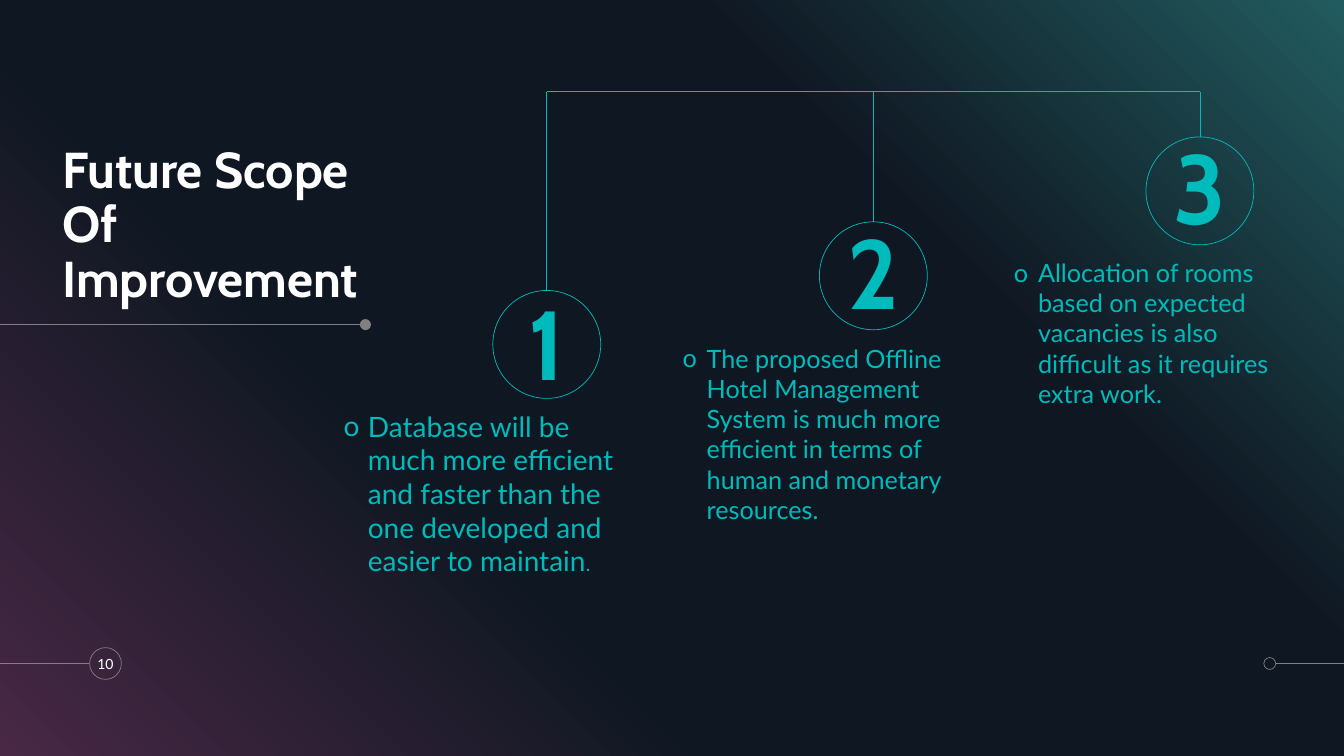
from copy import deepcopy

from lxml.etree import SubElement
from pptx import Presentation
from pptx.dml.color import RGBColor
from pptx.enum.shapes import MSO_CONNECTOR, MSO_SHAPE
from pptx.enum.text import MSO_ANCHOR, MSO_AUTO_SIZE, PP_ALIGN
from pptx.oxml.ns import qn
from pptx.util import Cm, Pt

HEX = {"teal": "00BBBB", "gray": "808080", "white": "FFFFFF",
       "plum": "482845", "navy": "0F1722", "pine": "225B5F"}
WIDE, HIGH = 33.87, 19.05
RAIL = 2.31
DISC = 2.72

# Each step: circle (left, top), list box (left, top, width, height), size, text runs
STEPS = [
    ((12.42, 7.32), (8.66, 10.31, 7.19, 5.33), 20,
     [("Database will be much more efficient and faster than the one "
       "developed and easier to maintain", 20), (".", 14)]),
    ((20.65, 5.59), (17.2, 8.64, 7.19, 4.95), 18,
     [("The proposed Offline Hotel Management System is much more efficient "
       "in terms of human and monetary resources.", 18)]),
    ((28.88, 3.45), (25.55, 6.48, 7.19, 6.43), 18,
     [("Allocation of rooms based on expected vacancies is also difficult "
       "as it requires extra work.", 18)]),
]


def color(name):
    """Return the named colour."""
    return RGBColor.from_string(HEX[name])


def style(item, values):
    """Set each attribute in the dict on the item."""
    for name, value in values.items():
        setattr(item, name, value)


def place(shape, box):
    """Move a shape to a box given in centimetres."""
    style(shape, dict(zip(("left", "top", "width", "height"), map(Cm, box))))


def write(par, text, face, size, tone, bold=False):
    """Add one formatted run to a paragraph."""
    run = par.add_run()
    run.text = text
    style(run.font, {"name": face, "size": Pt(size), "bold": bold})
    run.font.color.rgb = color(tone)


def setup(frame, anchor, wrap=True, top=0):
    """Clear the insets of a text frame and return its first paragraph."""
    style(frame, {"margin_left": 0, "margin_right": 0, "margin_top": Cm(top),
                  "margin_bottom": 0, "word_wrap": wrap,
                  "auto_size": MSO_AUTO_SIZE.NONE, "vertical_anchor": anchor})
    return frame.paragraphs[0]


def line(slide, start, end, tone):
    """Draw a thin straight line between two points."""
    link = slide.shapes.add_connector(
        MSO_CONNECTOR.STRAIGHT, *map(Cm, start + end))
    link.line.color.rgb = color(tone)
    link.line.width = Pt(0.5)
    SubElement(link._element.spPr, qn("a:effectLst"))


def ring(slide, box, tone, solid=False):
    """Draw a circle, either outlined or solid."""
    disc = slide.shapes.add_shape(MSO_SHAPE.OVAL, *map(Cm, box))
    disc.shadow.inherit = False
    if solid:
        disc.fill.solid()
        disc.fill.fore_color.rgb = color(tone)
        disc.line.fill.background()
    else:
        disc.fill.background()
        disc.line.color.rgb = color(tone)
        disc.line.width = Pt(0.5)
    return disc


def backdrop(slide):
    """Fill the background with the diagonal gradient."""
    fill = slide.background.fill
    fill.gradient()
    fill.gradient_angle = 45
    stops = fill._fill._gradFill.find(qn("a:gsLst"))
    for old in list(stops):
        stops.remove(old)
    for spot, name in ((0, "plum"), (34, "navy"), (69, "navy"), (100, "pine")):
        stop = SubElement(stops, qn("a:gs"), pos=str(spot * 1000))
        SubElement(stop, qn("a:srgbClr"), val=HEX[name])


def heading(slide, box):
    """Place the title with its rule and end dot below."""
    title = slide.shapes.title
    place(title, box)
    par = setup(title.text_frame, MSO_ANCHOR.BOTTOM)
    style(par, {"alignment": PP_ALIGN.LEFT, "line_spacing": 0.9})
    write(par, "Future Scope Of Improvement", "Cabin", 36, "white", True)
    rule = box[1] + box[3] + 0.41
    line(slide, (0, rule), (9.09, rule), "gray")
    ring(slide, (9.07, rule - 0.14, 0.28, 0.28), "gray", True)


def footer(slide, mid):
    """Draw the page number and the end marks on one centre line."""
    page = ring(slide, (2.26, mid - 0.4, 0.8, 0.8), "gray")
    par = setup(page.text_frame, MSO_ANCHOR.MIDDLE, False)
    par.alignment = PP_ALIGN.CENTER
    write(par, "10", "Lato", 10, "white")
    line(slide, (0, mid), (2.24, mid), "gray")
    ring(slide, (31.85, mid - 0.15, 0.3, 0.3), "gray")
    line(slide, (32.15, mid), (WIDE, mid), "gray")


def bullets(body, box, size, runs):
    """Fill a body placeholder with one bulleted item."""
    place(body, box)
    par = setup(body.text_frame, MSO_ANCHOR.TOP)
    style(par, {"alignment": PP_ALIGN.LEFT, "line_spacing": 1.0,
                "space_before": Pt(6)})
    props = par._p.get_or_add_pPr()
    props.set("marL", str(Cm(0.61)))
    props.set("indent", str(-Cm(0.61)))
    tint = SubElement(props, qn("a:buClr"))
    SubElement(tint, qn("a:srgbClr"), val=HEX["teal"])
    SubElement(props, qn("a:buFont"), typeface="Lato")
    SubElement(props, qn("a:buChar"), char="o")
    for text, points in runs:
        write(par, text, "Lato", points, "teal")


def step(slide, body, count, spot, box, size, runs):
    """Hang a numbered circle from the rail and place its list."""
    left, top = spot
    mid = left + DISC / 2
    line(slide, (mid, RAIL), (mid, top), "teal")
    disc = ring(slide, (left, top, DISC, DISC), "teal")
    par = setup(disc.text_frame, MSO_ANCHOR.MIDDLE, False,
                0.2 if count == 1 else 0.1)
    style(par, {"alignment": PP_ALIGN.CENTER, "line_spacing": 0.9})
    write(par, str(count), "Cabin", 70, "teal", True)
    bullets(body, box, size, runs)


def main():
    """Build and save the slide."""
    deck = Presentation()
    style(deck, {"slide_width": Cm(WIDE), "slide_height": Cm(HIGH)})
    slide = deck.slides.add_slide(deck.slide_layouts.get_by_name("Comparison"))
    backdrop(slide)
    heading(slide, (1.57, 2.84, 8.51, 4.93))
    footer(slide, 16.72)
    ends = [STEPS[i][0][0] + DISC / 2 for i in (0, -1)]
    line(slide, (ends[0], RAIL), (ends[1], RAIL), "teal")
    bodies = [s for s in slide.placeholders if s != slide.shapes.title]
    for count, (body, data) in enumerate(zip(bodies, STEPS), 1):
        step(slide, body, count, *data)
    for spare in bodies[len(STEPS):]:
        spare._element.getparent().remove(spare._element)
    deck.save("out.pptx")


main()
